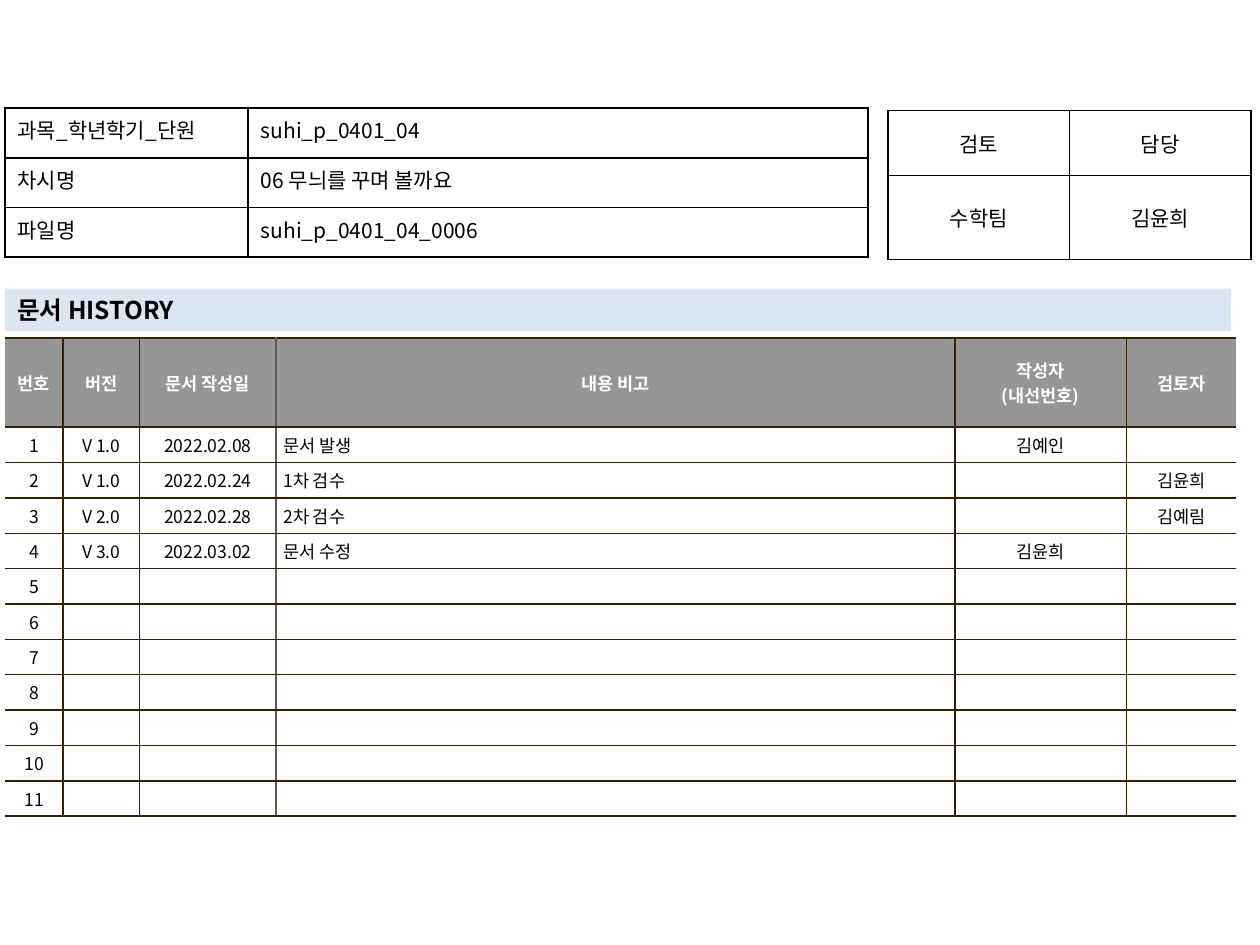
from lxml.etree import SubElement
from pptx import Presentation
from pptx.dml.color import RGBColor
from pptx.enum.shapes import MSO_SHAPE
from pptx.enum.text import MSO_ANCHOR, PP_ALIGN
from pptx.oxml.ns import qn
from pptx.util import Pt

FONT = "Noto Sans CJK KR"
COLORS = {"ink": "000000", "white": "FFFFFF", "head": "969696",
          "band": "DCE6F2", "rule": "362000", "soft": "645B4C"}
PLAIN = "{2D5ABB26-0587-4C30-8999-92F81FD0307C}"  # no style, no grid
LEFT, CENTER, JUST = PP_ALIGN.LEFT, PP_ALIGN.CENTER, PP_ALIGN.JUSTIFY

TITLE = "문서 HISTORY"
INFO = [
    ("과목_학년학기_단원", "suhi_p_0401_04"),
    ("차시명", "06 무늬를 꾸며 볼까요"),
    ("파일명", "suhi_p_0401_04_0006"),
]
SIGN = [("검토", "담당"), ("수학팀", "김윤희")]
HEADS = ("번호", "버전", "문서 작성일", "내용 비고", "작성자\n(내선번호)", "검토자")
LOG = [
    ("V 1.0", "2022.02.08", "문서 발생", "김예인", ""),
    ("V 1.0", "2022.02.24", "1차 검수", "", "김윤희"),
    ("V 2.0", "2022.02.28", "2차 검수", "", "김예림"),
    ("V 3.0", "2022.03.02", "문서 수정", "김윤희", ""),
]
COUNT = 11
NOTE = 3  # column of the remarks


def rgb(name):
    return RGBColor.from_string(COLORS[name])


def style(para, size, color="ink", bold=False, align=LEFT):
    para.alignment = align
    font = para.font
    font.size, font.bold, font.name = Pt(size), bold, FONT
    font.color.rgb = rgb(color)
    SubElement(font._element, qn("a:ea"), typeface=FONT)
    if not para.runs:
        SubElement(para._p, qn("a:endParaRPr"), sz=str(size * 100))


def border(cell, sides):
    """Draw 1 pt edges; sides maps L, R, T, B to a colour name or None."""
    props = cell._tc.get_or_add_tcPr()
    for side in "LRTB":
        line = SubElement(props, qn("a:ln" + side), w=str(Pt(1)))
        if sides[side]:
            fill = SubElement(line, qn("a:solidFill"))
            SubElement(fill, qn("a:srgbClr"), val=COLORS[sides[side]])
        else:
            SubElement(line, qn("a:noFill"))


def add_grid(slide, left, top, cols, rows, data, inset):
    """Place a plain table and yield each cell with its row and column."""
    frame = slide.shapes.add_table(len(rows), len(cols), Pt(left), Pt(top),
                                   Pt(sum(cols)), Pt(sum(rows)))
    table = frame.table
    table.first_row = table.horz_banding = False
    table._tbl.tblPr.find(qn("a:tableStyleId")).text = PLAIN
    for col, width in zip(table.columns, cols):
        col.width = Pt(width)
    for r, (row, height) in enumerate(zip(table.rows, rows)):
        row.height = Pt(height)
        for c, cell in enumerate(row.cells):
            cell.text = data[r][c]
            cell.margin_left = cell.margin_right = Pt(inset[0])
            cell.margin_top = cell.margin_bottom = Pt(inset[1])
            yield cell, r, c


def add_form(slide, left, top, cols, rows, data, aligns, anchor):
    for cell, _, c in add_grid(slide, left, top, cols, rows, data, (7.2, 3.6)):
        cell.vertical_anchor = anchor
        border(cell, dict.fromkeys("LRTB", "ink"))
        cell.fill.background()
        style(cell.text_frame.paragraphs[0], 12, align=aligns[c])


def add_log(slide):
    blank = ("",) * (len(HEADS) - 1)
    body = LOG + [blank] * (COUNT - len(LOG))
    data = [HEADS] + [(str(n), *row) for n, row in enumerate(body, 1)]
    cols = (33.1, 43.9, 77.8, 388.1, 97.9, 62.6)
    rows = [51.1] + [20] * COUNT
    edges = [None] + ["rule"] * (len(cols) - 1) + [None]
    edges[NOTE] = "soft"
    for cell, r, c in add_grid(slide, 2.9, 193, cols, rows, data, (4.3, 2.9)):
        head = r == 0
        cell.vertical_anchor = MSO_ANCHOR.MIDDLE
        border(cell, {"L": edges[c], "R": edges[c + 1], "T": "rule", "B": "rule"})
        cell.fill.solid()
        cell.fill.fore_color.rgb = rgb("head" if head else "white")
        align = LEFT if c == NOTE and not head else CENTER
        for para in cell.text_frame.paragraphs:
            style(para, 10, "white" if head else "ink", head, align)


def add_title(slide):
    bar = slide.shapes.add_shape(MSO_SHAPE.RECTANGLE, Pt(2.9), Pt(165),
                                 Pt(700.5), Pt(24.2))
    bar.shadow.inherit = False
    bar.fill.solid()
    bar.fill.fore_color.rgb = rgb("band")
    bar.line.fill.background()
    frame = bar.text_frame
    frame.word_wrap = True
    frame.vertical_anchor = MSO_ANCHOR.MIDDLE
    frame.text = TITLE
    style(frame.paragraphs[0], 14, bold=True)


def main():
    deck = Presentation()
    deck.slide_width, deck.slide_height = Pt(720), Pt(540)
    slide = deck.slides.add_slide(deck.slide_layouts[6])
    add_log(slide)
    add_form(slide, 507.5, 63.2, (103.7, 103.7), (37, 48), SIGN,
             (CENTER, CENTER), MSO_ANCHOR.MIDDLE)
    add_title(slide)
    add_form(slide, 2.9, 61.8, (138.9, 354.3), [28.4] * len(INFO), INFO,
             (JUST, LEFT), MSO_ANCHOR.TOP)
    deck.save("out.pptx")


if __name__ == "__main__":
    main()
